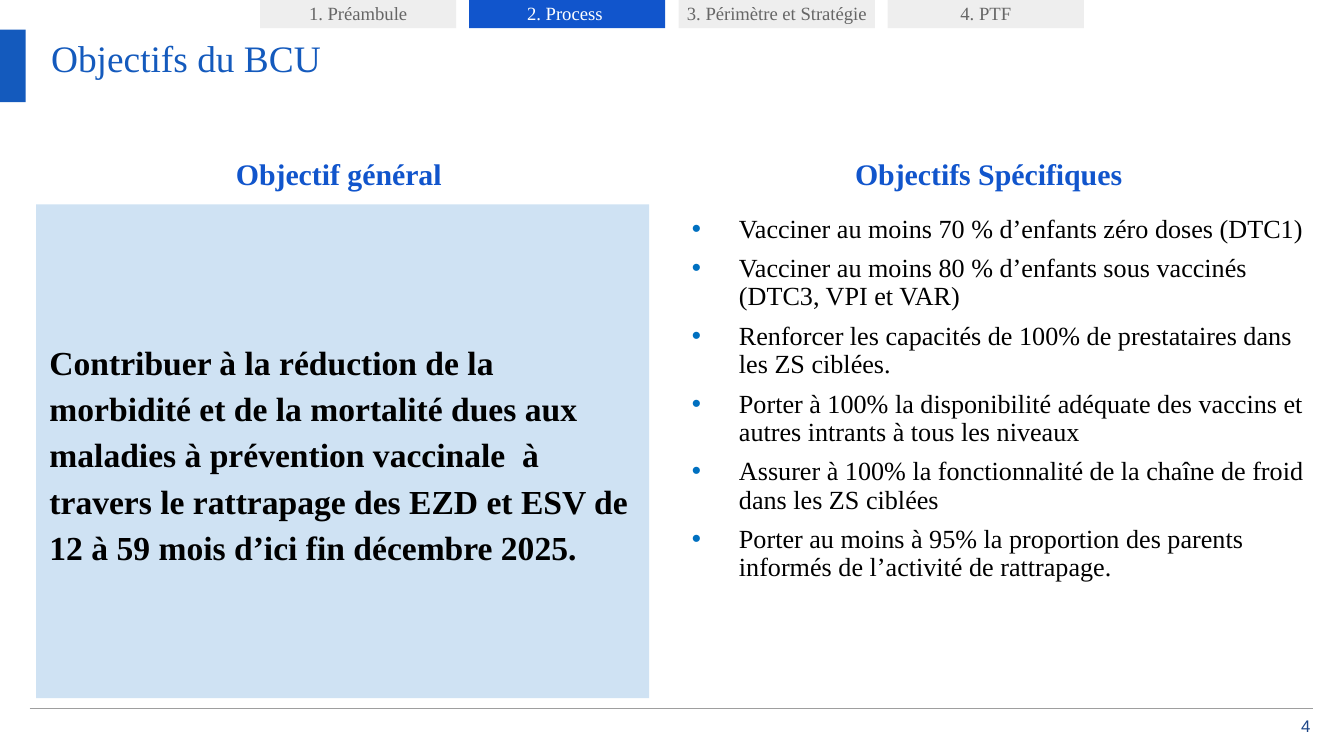
from lxml.etree import SubElement as Sub
from pptx import Presentation
from pptx.dml.color import RGBColor
from pptx.enum.shapes import MSO_CONNECTOR as Conn, MSO_SHAPE as Kind
from pptx.enum.text import MSO_ANCHOR as Anchor, MSO_AUTO_SIZE as Auto, PP_ALIGN as Align
from pptx.oxml.ns import qn
from pptx.util import Pt

PX = 4572
SERIF = "Times New Roman"
BLUE = "1155CC"


def rgb(code):
    return RGBColor.from_string(code)


def write(shape, texts, size, color, bold=False, align=Align.LEFT, anchor=Anchor.TOP,
          pad=(20, 20), lead=None, bullet=None, font=SERIF):
    frame = shape.text_frame
    frame.word_wrap = True
    frame.auto_size = Auto.NONE
    frame.vertical_anchor = anchor
    frame.margin_left = frame.margin_right = pad[0] * PX
    frame.margin_top = frame.margin_bottom = pad[1] * PX
    for i, text in enumerate(texts):
        para = frame.add_paragraph() if i else frame.paragraphs[0]
        para.alignment = align
        para.line_spacing = lead
        if i:
            para.space_before = Pt(6)
        if bullet:
            props = para._p.get_or_add_pPr()
            props.set("marL", str(100 * PX))
            props.set("indent", str(-70 * PX))
            tint = Sub(props, qn("a:buClr"))
            Sub(tint, qn("a:srgbClr"), val=bullet)
            Sub(props, qn("a:buFont"), typeface="Arial")
            Sub(props, qn("a:buChar"), char="•")
        run = para.add_run()
        run.text = text
        run.font.name = font
        run.font.size = Pt(size)
        run.font.bold = bold
        run.font.color.rgb = rgb(color)


deck = Presentation()
deck.slide_width = 2000 * PX
deck.slide_height = 1125 * PX
slide = deck.slides.add_slide(deck.slide_layouts[5])
shapes = slide.shapes

title = shapes.title
title.left, title.top, title.width, title.height = [n * PX for n in (76, 52, 1850, 120)]
write(title, ["Objectifs du BCU"], 20, "145ABD", pad=(0, 0))

rects = {}
for name, place, fill in [
    ("accent", (0, 44, 38, 108), "145ABD"),
    ("goal", (54, 304, 912, 735), "CFE2F3"),
    ("tab 0", (387, -2, 292, 44), "EEEEEE"),
    ("tab 1", (698, -2, 292, 44), BLUE),
    ("tab 2", (1010, -2, 292, 44), "EEEEEE"),
    ("tab 3", (1321, -2, 292, 44), "EEEEEE"),
]:
    rect = shapes.add_shape(Kind.RECTANGLE, *[n * PX for n in place])
    rect.shadow.inherit = False
    rect.fill.solid()
    rect.fill.fore_color.rgb = rgb(fill)
    rect.line.fill.background()
    rects[name] = rect

tabs = ["1. Préambule", "2. Process ", "3. Périmètre et Stratégie", "4. PTF"]
for i, text in enumerate(tabs):
    color = "FFFFFF" if i == 1 else "666666"
    write(rects[f"tab {i}"], [text], 10, color, align=Align.CENTER,
          anchor=Anchor.MIDDLE, pad=(4, 20))

for left, text in [(44, "Objectif général "), (1011, "Objectifs Spécifiques ")]:
    head = shapes.add_textbox(left * PX, 204 * PX, 932 * PX, 98 * PX)
    write(head, [text], 16, BLUE, bold=True, align=Align.CENTER, lead=1.15)

goal = (
    "Contribuer à la réduction de la morbidité et de la mortalité dues aux "
    "maladies à prévention vaccinale  à travers le rattrapage des EZD et ESV "
    "de 12 à 59 mois d’ici fin décembre 2025."
)
write(rects["goal"], [goal], 18, "000000", bold=True, anchor=Anchor.MIDDLE, lead=1.15)

aims = [
    "Vacciner au moins 70 % d’enfants zéro doses (DTC1)",
    "Vacciner au moins 80 % d’enfants sous vaccinés (DTC3, VPI et VAR)",
    "Renforcer les capacités de 100% de prestataires dans les ZS ciblées.",
    "Porter à 100% la disponibilité adéquate des vaccins et autres intrants à tous les niveaux",
    "Assurer à 100% la fonctionnalité de la chaîne de froid dans les ZS ciblées",
    "Porter au moins à 95% la proportion des parents informés de l’activité de rattrapage.",
]
aim_box = shapes.add_textbox(980 * PX, 301 * PX, 992 * PX, 608 * PX)
write(aim_box, aims, 14, "000000", lead=0.9, bullet="0070C0")

rule = shapes.add_connector(Conn.STRAIGHT, 44 * PX, 1054 * PX, 1954 * PX, 1054 * PX)
rule.line.color.rgb = rgb("9E9E9E")
rule.line.width = Pt(0.75)
Sub(rule._element.spPr, qn("a:effectLst"))

page = shapes.add_textbox(1912 * PX, 1066 * PX, 38 * PX, 28 * PX)
write(page, ["4"], 9, "1C4587", align=Align.RIGHT, anchor=Anchor.MIDDLE,
      pad=(0, 0), font="Arial")

deck.save("out.pptx")
